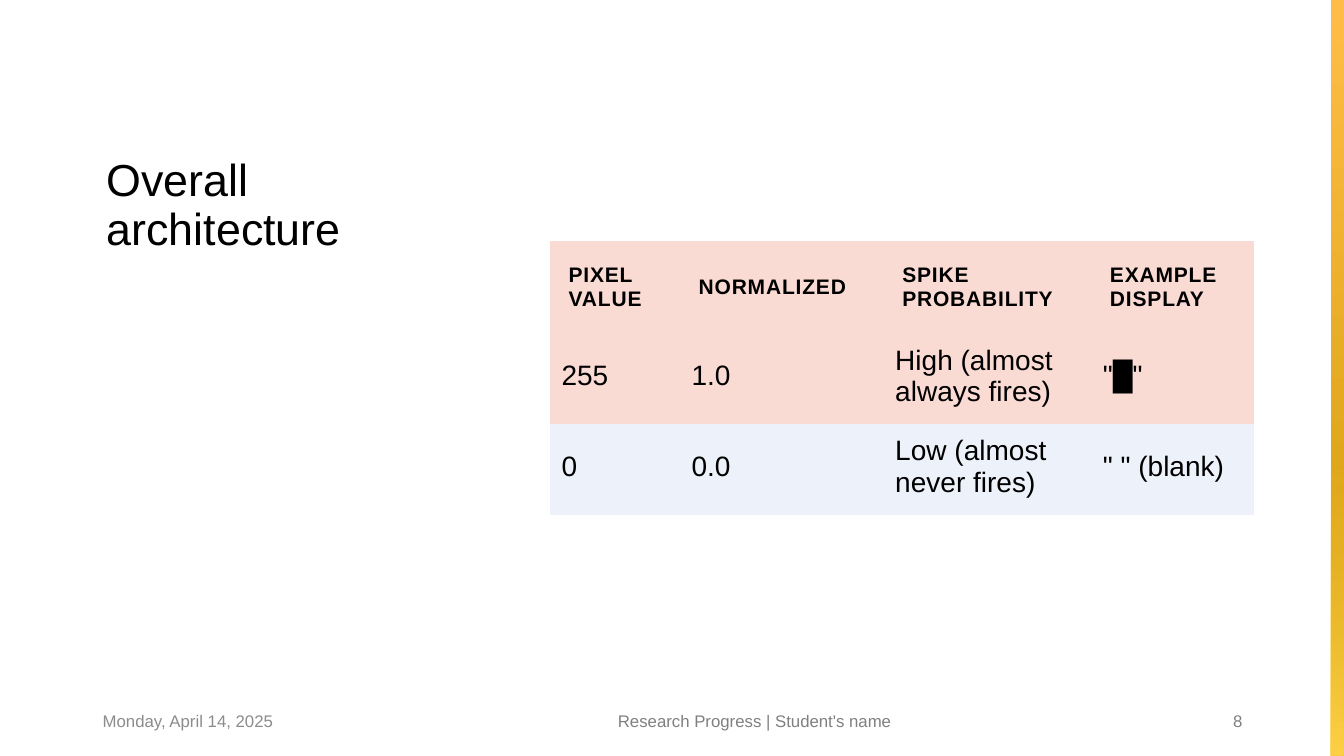
from lxml.etree import SubElement
from pptx import Presentation
from pptx.dml.color import RGBColor
from pptx.enum.shapes import MSO_SHAPE
from pptx.enum.text import MSO_ANCHOR, PP_ALIGN
from pptx.oxml.ns import qn
from pptx.util import Inches, Pt

BLACK = RGBColor(0x00, 0x00, 0x00)
DATE_GRAY = RGBColor(0x8C, 0x8C, 0x8C)
FOOTER_GRAY = RGBColor(0x80, 0x80, 0x80)
PINK = RGBColor(0xFA, 0xDB, 0xD4)
PALE_BLUE = RGBColor(0xED, 0xF1, 0xF9)
AMBER = RGBColor(0xFF, 0xBD, 0x47)
GOLD = RGBColor(0xCC, 0x99, 0x00)
YELLOW = RGBColor(0xFF, 0xD1, 0x47)
FONT = "Arial"
NO_STYLE_NO_GRID = "{2D5ABB26-0587-4C30-8999-92F81FD0307C}"

TITLE = "Overall architecture"
FOOTERS = [
    ("Monday, April 14, 2025", 0.92, 3, DATE_GRAY, PP_ALIGN.LEFT),
    ("Research Progress | Student's name", 6.03, 3.39, FOOTER_GRAY, PP_ALIGN.LEFT),
    ("8", 9.42, 3, FOOTER_GRAY, PP_ALIGN.RIGHT),
]
SPIKE_ROWS = [
    ("PIXEL VALUE", "NORMALIZED", "SPIKE PROBABILITY", "EXAMPLE DISPLAY"),
    ("255", "1.0", "High (almost always fires)", '"█"'),
    ("0", "0.0", "Low (almost never fires)", '" " (blank)'),
]
ROW_FILLS = [PINK, PINK, PALE_BLUE]
ROW_HEIGHTS = [0.92, 0.9, 0.9]
COLUMN_WIDTHS = [1.29, 2.02, 2.06, 1.62]
HEADER_MARGINS = (0.19, 0.19, 0.19, 0.19)
BODY_MARGINS = (0.12, 0.06, 0.12, 0.12)
EDGE_BANDS = [
    (0, 7.5, (0, AMBER), (1, GOLD), False),
    (3.86, 3.64, (0.19, YELLOW), (1, YELLOW), True),
]


def style_font(paragraph, size, color, bold=False):
    font = paragraph.runs[0].font
    font.name, font.size, font.bold = FONT, Pt(size), bold
    font.color.rgb = color
    return font


def add_text(slide, text, box, size, color, anchor, align=PP_ALIGN.LEFT):
    frame = slide.shapes.add_textbox(*map(Inches, box)).text_frame
    frame.word_wrap = True
    frame.vertical_anchor = anchor
    frame.text = text
    paragraph = frame.paragraphs[0]
    paragraph.alignment = align
    style_font(paragraph, size, color)
    return paragraph


def add_edge_band(slide, top, height, start, end, fades_in):
    band = slide.shapes.add_shape(
        MSO_SHAPE.RECTANGLE, Inches(13.2), Inches(top), Inches(0.13), Inches(height))
    band.shadow.inherit = False
    band.fill.gradient()
    band.fill.gradient_angle = 270
    for stop, (position, color) in zip(band.fill.gradient_stops, (start, end)):
        stop.position = position
        stop.color.rgb = color
    if fades_in:
        first_color = next(band._element.iter(qn("a:srgbClr")))
        SubElement(first_color, qn("a:alpha")).set("val", "0")
    band.line.fill.background()


def add_spike_table(slide):
    graphic = slide.shapes.add_table(
        len(SPIKE_ROWS), len(COLUMN_WIDTHS), Inches(5.45), Inches(2.39),
        Inches(sum(COLUMN_WIDTHS)), Inches(sum(ROW_HEIGHTS)))
    table = graphic.table
    next(graphic._element.iter(qn("a:tableStyleId"))).text = NO_STYLE_NO_GRID
    for column, width in zip(table.columns, COLUMN_WIDTHS):
        column.width = Inches(width)
    for index, (row, values) in enumerate(zip(table.rows, SPIKE_ROWS)):
        row.height = Inches(ROW_HEIGHTS[index])
        is_header = index == 0
        margins = HEADER_MARGINS if is_header else BODY_MARGINS
        for cell, value in zip(row.cells, values):
            cell.text = value
            cell.vertical_anchor = MSO_ANCHOR.MIDDLE
            (cell.margin_left, cell.margin_top,
             cell.margin_right, cell.margin_bottom) = map(Inches, margins)
            cell.fill.solid()
            cell.fill.fore_color.rgb = ROW_FILLS[index]
            paragraph = cell.text_frame.paragraphs[0]
            style_font(paragraph, 15 if is_header else 20, BLACK, is_header)
            if is_header:
                paragraph.runs[0]._r.get_or_add_rPr().set("spc", "60")


def main():
    deck = Presentation()
    deck.slide_width, deck.slide_height = Inches(13.33), Inches(7.5)
    slide = deck.slides.add_slide(deck.slide_layouts[6])
    for band in EDGE_BANDS:
        add_edge_band(slide, *band)
    title = add_text(slide, TITLE, (0.96, 0.81, 3.78, 1.77), 32, BLACK, MSO_ANCHOR.BOTTOM)
    title.line_spacing = 0.9
    for text, left, width, color, align in FOOTERS:
        footer = add_text(
            slide, text, (left, 6.95, width, 0.4), 12, color, MSO_ANCHOR.MIDDLE, align)
        footer.space_after = Pt(6)
    add_spike_table(slide)
    deck.save("out.pptx")


if __name__ == "__main__":
    main()
